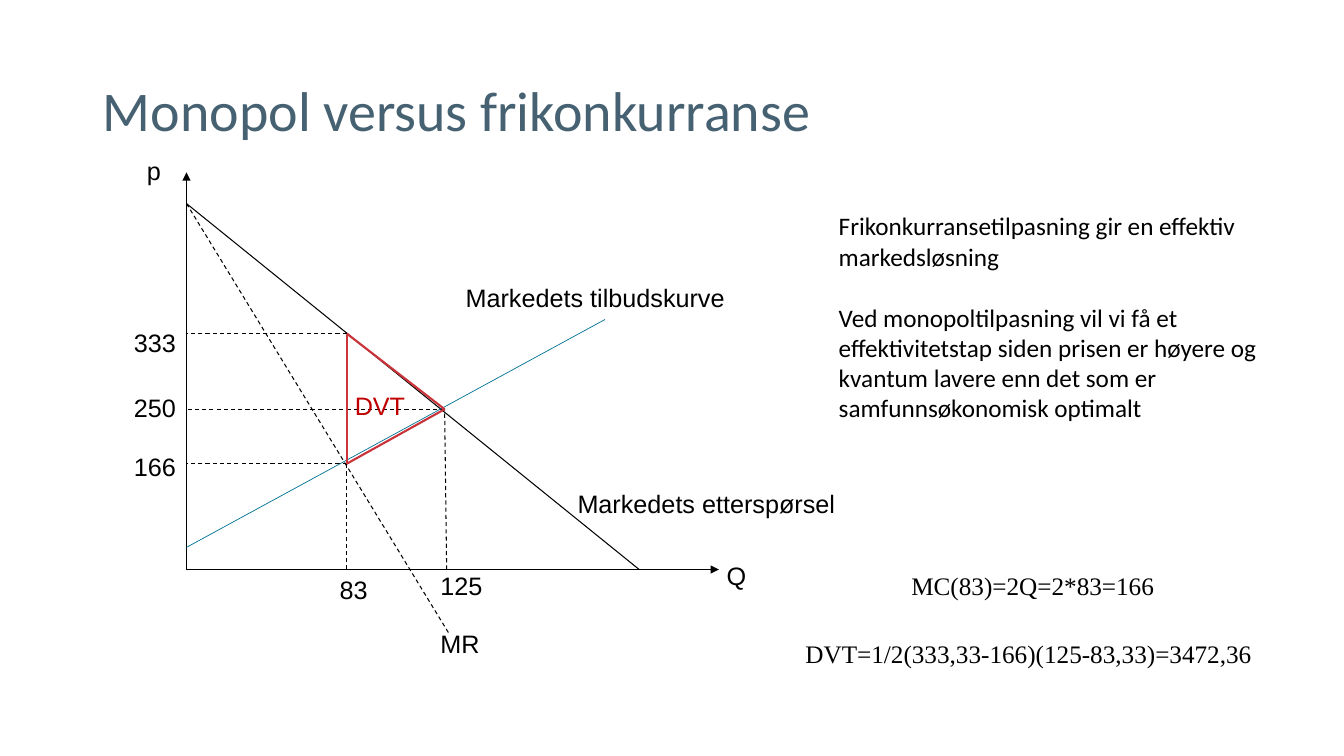
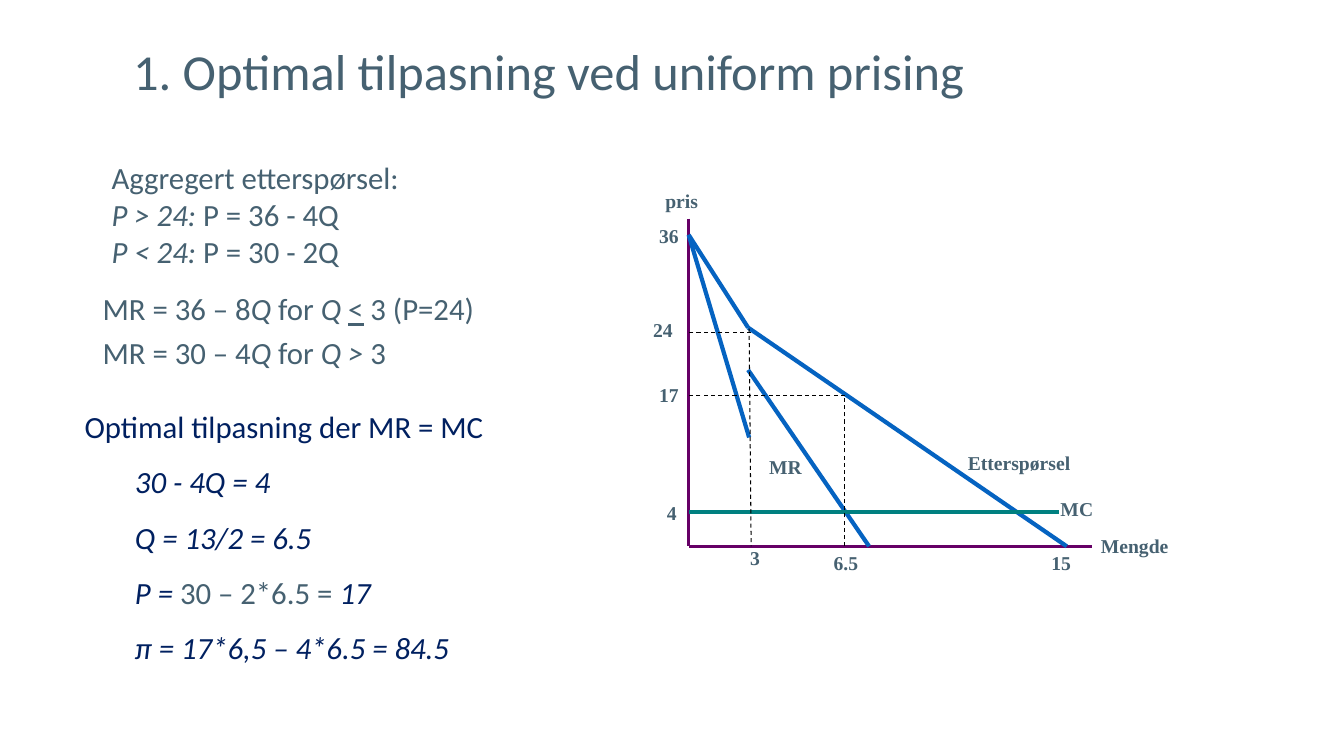
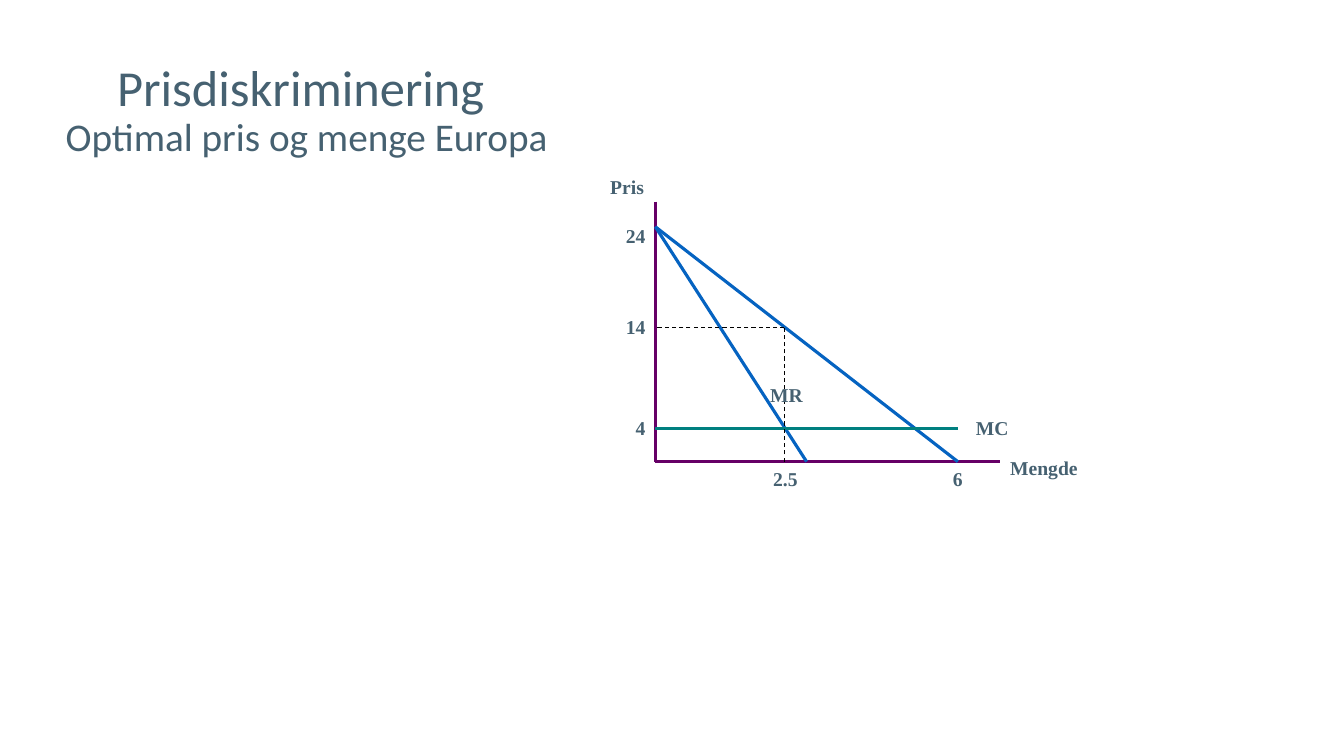
import pptx
import pptx.dml.color
import pptx.enum.dml
import pptx.enum.shapes
import pptx.enum.text
import pptx.oxml.ns
import pptx.oxml.xmlchemy
import pptx.util

SLATE = "466171"
NAVY = "002060"
BLACK = "000000"
CRIMSON = "CB333B"
DARK_RED = "C00000"
PETROL = "007396"
PURPLE = "660066"
BLUE = "0563C1"
TEAL = "008080"

SANS = "Calibri"
SERIF = "Times New Roman"
PLAIN = "Arial"

LEFT = pptx.enum.text.PP_ALIGN.LEFT
CENTER = pptx.enum.text.PP_ALIGN.CENTER
RIGHT = pptx.enum.text.PP_ALIGN.RIGHT


def color(value):
    return pptx.dml.color.RGBColor.from_string(value)


class Deck:
    def __init__(self):
        self.deck = pptx.Presentation()
        self.deck.slide_width = pptx.util.Inches(13.33)
        self.deck.slide_height = pptx.util.Inches(7.5)
        self.page = None

    def new_page(self):
        self.page = self.deck.slides.add_slide(self.deck.slide_layouts[5])

    def add_span(self, para, text, size, font, hue, bold=False, italic=False, underline=False):
        span = para.add_run()
        span.text = text
        span.font.size = pptx.util.Pt(size)
        span.font.name = font
        span.font.color.rgb = color(hue)
        span.font.bold = bold
        span.font.italic = italic
        span.font.underline = underline

    def title(self, lines, left, top, width, align=LEFT):
        box = self.page.shapes.title
        box.left, box.top = pptx.util.Inches(left), pptx.util.Inches(top)
        box.width, box.height = pptx.util.Inches(width), pptx.util.Inches(1.45)
        frame = box.text_frame
        frame.auto_size = pptx.enum.text.MSO_AUTO_SIZE.NONE
        frame.vertical_anchor = pptx.enum.text.MSO_ANCHOR.MIDDLE
        para = frame.paragraphs[0]
        para.alignment = align
        para.line_spacing = 0.9
        for index, (text, size) in enumerate(lines):
            if index:
                para.add_line_break()
            self.add_span(para, text, size, SANS, SLATE)

    def text(self, paras, left, top, width, height, size, font, hue, align=LEFT, wrap=True,
             bold=False, line_spacing=None, gap=0):
        box = self.page.shapes.add_textbox(*map(pptx.util.Inches, (left, top, width, height)))
        frame = box.text_frame
        frame.word_wrap = wrap
        frame.auto_size = pptx.enum.text.MSO_AUTO_SIZE.SHAPE_TO_FIT_TEXT
        for index, (level, spans) in enumerate(paras):
            para = frame.add_paragraph() if index else frame.paragraphs[0]
            para.level = level
            para.alignment = align
            para.line_spacing = line_spacing
            if index and gap:
                para.space_before = pptx.util.Pt(gap)
            for text, changes in spans:
                style = {"size": size, "font": font, "hue": hue, "bold": bold, **changes}
                self.add_span(para, text, **style)

    def label(self, text, left, top, width, font=PLAIN, hue=BLACK):
        self.text([(0, [(text, {})])], left, top, width, 0.4, 18, font, hue, wrap=False)

    def small_label(self, text, left, top, width, align=LEFT):
        self.text([(0, [(text, {})])], left, top, width, 0.33, 14, SERIF, SLATE, align, bold=True)

    def trace(self, points, hue, width, dashed=False, arrow=False):
        for start, end in zip(points, points[1:]):
            line = self.page.shapes.add_connector(
                pptx.enum.shapes.MSO_CONNECTOR.STRAIGHT, *map(pptx.util.Inches, start + end))
            line.line.color.rgb = color(hue)
            line.line.width = pptx.util.Pt(width)
            if dashed:
                line.line.dash_style = pptx.enum.dml.MSO_LINE.DASH
            properties = line._element.spPr
            if arrow:
                outline = properties.find(pptx.oxml.ns.qn("a:ln"))
                head = pptx.oxml.xmlchemy.OxmlElement("a:tailEnd")
                head.set("type", "triangle")
                outline.append(head)
            properties.append(pptx.oxml.xmlchemy.OxmlElement("a:effectLst"))

    def guide(self, *points):
        self.trace(points, BLACK, 0.75, dashed=True)


def monopoly_page(deck):
    deck.new_page()
    deck.title([("Monopol versus frikonkurranse", 40)], 0.92, 0.4, 11.5)
    deck.label("MC(83)=2Q=2*83=166", 8.94, 5.61, 2.86, SERIF)
    deck.label("DVT=1/2(333,33-166)(125-83,33)=3472,36", 7.89, 6.28, 5.14, SERIF)
    deck.text([
        (0, [("Frikonkurransetilpasning gir en effektiv markedsløsning", {})]),
        (0, [("Ved monopoltilpasning vil vi få et effektivitetstap siden prisen er høyere og "
              "kvantum lavere enn det som er samfunnsøkonomisk optimalt", {})]),
    ], 8.22, 2.04, 4.49, 2.22, 18, SANS, BLACK, gap=22)

    axis, base = 1.85, 5.65
    choke = (axis, 2.02)
    monopoly, cost, market = (3.44, 3.31), (3.44, 4.6), (4.41, 4.06)
    for end in [(axis, 1.71), (7.13, base)]:
        deck.trace([(axis, base), end], BLACK, 0.75, arrow=True)
    deck.trace([choke, (6.34, base)], BLACK, 0.75)
    deck.guide(choke, (4.45, 6.28))
    deck.guide((4.43, base), market, (axis, market[1]))
    deck.guide((monopoly[0], base), monopoly, (axis, monopoly[1]))
    deck.guide(cost, (axis, cost[1]))
    deck.trace([(axis, 5.43), (6, 3.17)], PETROL, 0.5)
    deck.trace([cost, monopoly, market, cost], CRIMSON, 1.5)

    for text, left, top, width in [
        ("Q", 7.11, 5.51, 0.4),
        ("p", 1.36, 1.49, 0.34),
        ("MR", 4.27, 6.18, 0.59),
        ("Markedets etterspørsel", 5.63, 4.8, 2.76),
        ("Markedets tilbudskurve", 4.52, 2.75, 2.8),
        ("333", 1.23, 3.2, 0.62),
        ("250", 1.23, 3.84, 0.62),
        ("166", 1.23, 4.43, 0.62),
        ("83", 3.27, 5.65, 0.48),
        ("125", 4.27, 5.61, 0.62),
    ]:
        deck.label(text, left, top, width)
    deck.label("DVT", 3.42, 3.82, 0.71, hue=DARK_RED)


def uniform_page(deck):
    deck.new_page()
    deck.title([("1. Optimal tilpasning ved uniform prising", 36)], 1.22, 0.01, 11.5)
    italic = {"italic": True}

    deck.text([
        (1, [("Aggregert etterspørsel:", {})]),
        (1, [("P > 24: ", italic), ("P = 36 - 4Q", {})]),
        (1, [("P < 24: ", italic), ("P = 30 - 2Q", {})]),
    ], 0.51, 1.53, 6.36, 1.58, 22, SANS, SLATE)
    deck.text([(0, [
        ("MR = 36 – 8", {}), ("Q", italic), (" for ", {}), ("Q ", italic),
        ("<", {"underline": True}), (" 3 (P=24)", {}),
    ])], 0.92, 2.83, 4.12, 0.47, 22, SANS, SLATE)
    deck.text([(0, [
        ("MR = 30 – 4", {}), ("Q", italic), (" for ", {}), ("Q >", italic), (" 3", {}),
    ])], 0.92, 3.26, 3.75, 0.47, 22, SANS, SLATE)
    deck.text([
        (0, [("Optimal tilpasning der MR = MC", {})]),
        (1, [("30 - 4Q = 4", italic)]),
        (1, [("Q = 13/2 = 6.5", italic)]),
        (1, [("P = ", italic), ("30 – 2*6.5 = ", {"hue": SLATE}), ("17", italic)]),
        (1, [("π = 17*6,5 – 4*6.5 = 84.5", italic)]),
    ], 0.74, 3.81, 4.49, 3.38, 22, SANS, NAVY, line_spacing=1.5)

    axis, base = 6.83, 5.42
    choke = (axis, 2.33)
    deck.trace([(axis, 2.17), (axis, base), (10.83, base)], PURPLE, 2.25)
    deck.trace([choke, (7.42, 3.25), (10.58, base)], BLUE, 3)
    deck.trace([choke, (7.43, 4.34)], BLUE, 3)
    deck.trace([(7.42, 3.67), (8.62, base)], BLUE, 3)
    deck.trace([(axis, 5.08), (10.5, 5.08)], TEAL, 3)
    deck.guide((7.43, 3.26), (7.45, base))
    deck.guide((7.45, 3.3), (axis, 3.3))
    deck.guide((8.38, base), (8.38, 3.92), (axis, 3.92))

    for text, left, top, width in [
        ("pris", 6.5, 1.83, 0.75),
        ("Etterspørsel", 9.5, 4.42, 1.25),
        ("MR", 7.53, 4.46, 0.58),
        ("MC", 10.42, 4.88, 0.67),
        ("Mengde", 10.82, 5.25, 1),
        ("3", 7.34, 5.37, 0.48),
        ("6.5", 8.17, base, 0.5),
        ("15", 10.33, base, 0.5),
    ]:
        deck.small_label(text, left, top, width)
    for text, left, top in [("36", 6.33, 2.17), ("24", 6.27, 3.11), ("17", 6.33, 3.75), ("4", 6.31, 4.92)]:
        deck.small_label(text, left, top, 0.5, RIGHT)


def discrimination_page(deck):
    deck.new_page()
    deck.title([("Prisdiskriminering ", 36), ("Optimal pris og menge Europa", 28)],
               -0.73, 0.38, 7.54, CENTER)

    axis, base = 6.5, 4.58
    choke = (axis, 2.25)
    deck.trace([(axis, 2), (axis, base), (9.92, base)], PURPLE, 2.25)
    for foot in (9.5, 8):
        deck.trace([choke, (foot, base)], BLUE, 2.25)
    deck.trace([(axis, 4.25), (9.5, 4.25)], TEAL, 2.25)
    deck.guide((7.78, base), (7.78, 3.25), (axis, 3.25))

    for text, left, top, width, align in [
        ("Pris", 5.76, 1.69, 0.92, CENTER),
        ("Mengde", 9.92, 4.47, 1.17, LEFT),
        ("MR", 7.54, 3.75, 0.58, LEFT),
        ("MC", 9.58, 4.08, 0.67, LEFT),
        ("2.5", 7.5, base, 0.58, CENTER),
        ("6", 9.25, base, 0.5, CENTER),
    ]:
        deck.small_label(text, left, top, width, align)
    for text, top in [("24", 2.17), ("14", 3.08), ("4", 4.08)]:
        deck.small_label(text, axis - 0.5, top, 0.5, RIGHT)


def main():
    deck = Deck()
    monopoly_page(deck)
    uniform_page(deck)
    discrimination_page(deck)
    deck.deck.save("out.pptx")


if __name__ == "__main__":
    main()
